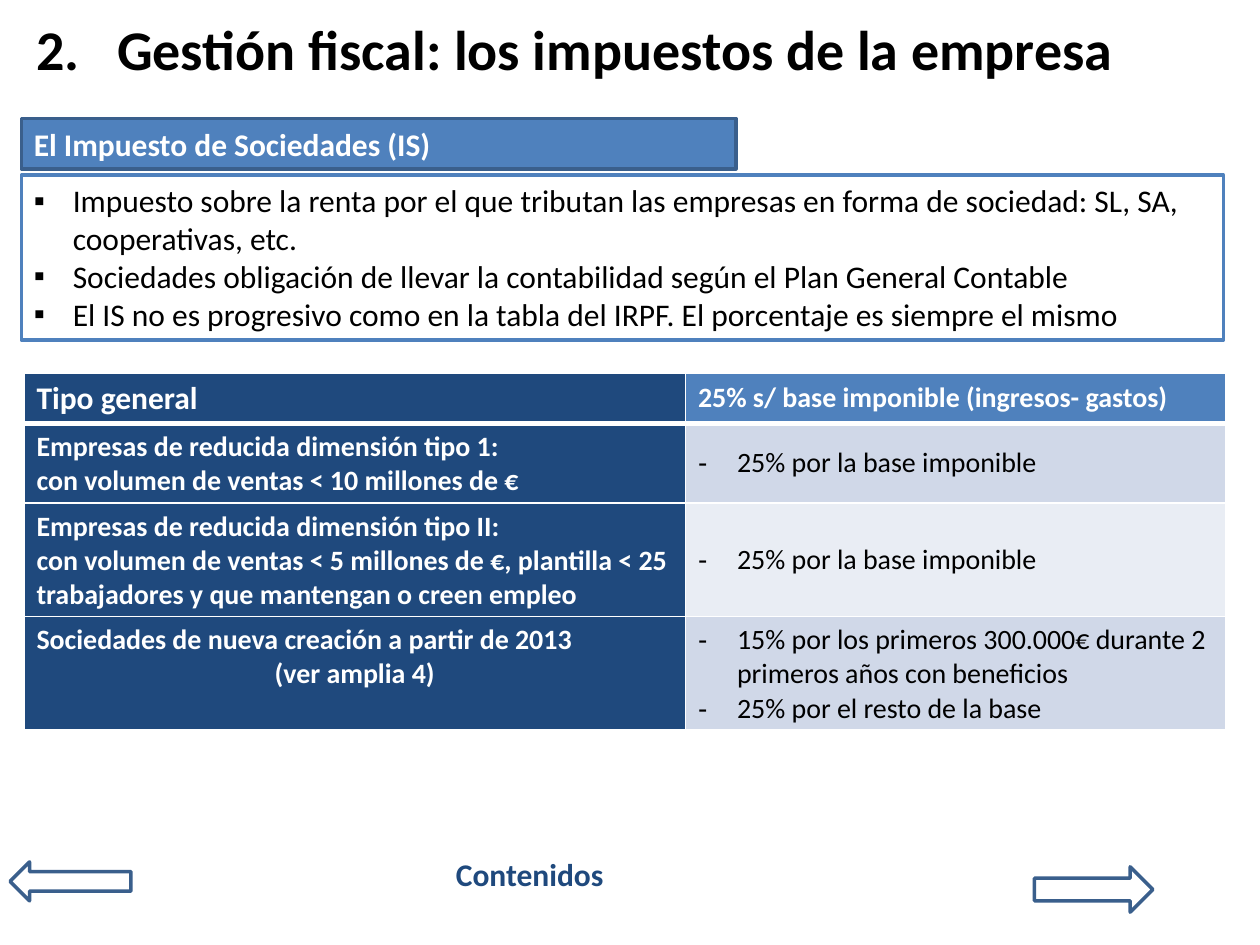
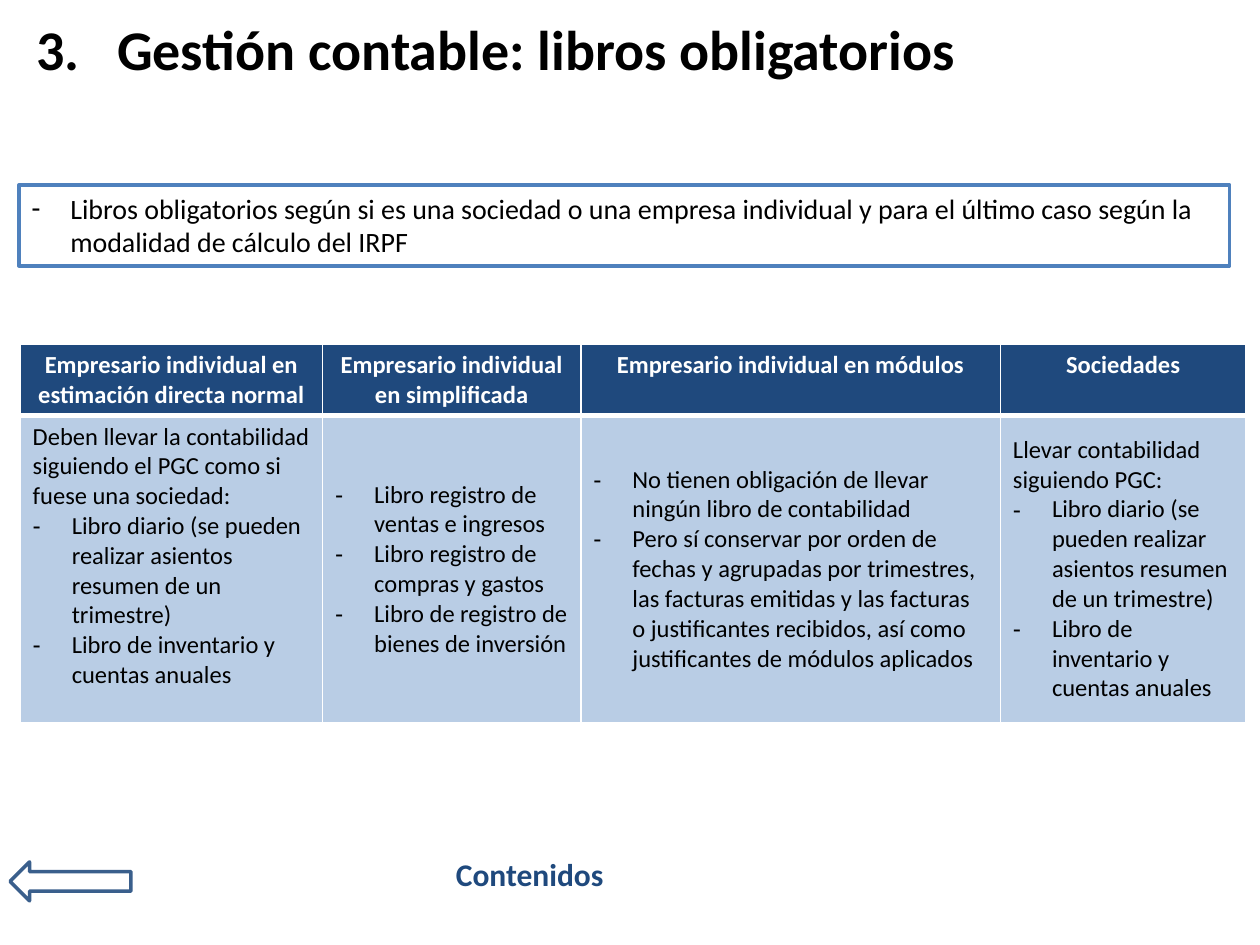
from dataclasses import dataclass

from lxml import etree
from pptx import Presentation
from pptx.dml.color import RGBColor
from pptx.enum import shapes, text
from pptx.oxml.ns import qn
from pptx.util import Inches, Pt

FONT = "Calibri"
BLACK, WHITE = "000000", "FFFFFF"
NAVY, BLUE, OUTLINE = "1F497D", "4F81BD", "3A5F8C"
BAND_DARK, BAND_LIGHT, PALE_BLUE = "D0D8E8", "E9EDF4", "B9CDE5"
SQUARE, DASH = "▪", "-"
BULLET_INDENT = 0.31
TITLE_INDENT = 0.64
CENTER = text.PP_ALIGN.CENTER
TOP, MIDDLE = text.MSO_ANCHOR.TOP, text.MSO_ANCHOR.MIDDLE
RECTANGLE = shapes.MSO_SHAPE.RECTANGLE
LEFT_ARROW, RIGHT_ARROW = shapes.MSO_SHAPE.LEFT_ARROW, shapes.MSO_SHAPE.RIGHT_ARROW


@dataclass(frozen=True)
class Box:
    left: float
    top: float
    width: float
    height: float

    def lengths(self):
        return [Inches(side) for side in (self.left, self.top, self.width, self.height)]


@dataclass(frozen=True)
class Style:
    size: int
    color: str = BLACK
    bold: bool = False


@dataclass(frozen=True)
class Line:
    content: str
    bullet: str = ""
    align: text.PP_ALIGN = text.PP_ALIGN.LEFT
    hanging: float = 0


@dataclass(frozen=True)
class Cell:
    lines: list
    style: Style
    fill: str
    anchor: text.MSO_ANCHOR = MIDDLE


@dataclass(frozen=True)
class NavigationArrow:
    kind: shapes.MSO_SHAPE
    box: Box


PREVIOUS = NavigationArrow(LEFT_ARROW, Box(0.08, 6.84, 0.96, 0.31))
NEXT = NavigationArrow(RIGHT_ARROW, Box(8.21, 6.88, 0.94, 0.36))


def rgb(value: str) -> RGBColor:
    return RGBColor.from_string(value)


def bullets(mark: str, *contents: str) -> list:
    return [Line(content, mark, hanging=BULLET_INDENT) for content in contents]


def write_lines(frame, lines: list, style: Style) -> None:
    frame.word_wrap = True
    for index, line in enumerate(lines):
        paragraph = frame.add_paragraph() if index else frame.paragraphs[0]
        paragraph.alignment = line.align
        properties = paragraph._p.get_or_add_pPr()
        if line.hanging:
            properties.set("marL", str(Inches(line.hanging)))
            properties.set("indent", str(-Inches(line.hanging)))
        if line.bullet:
            etree.SubElement(properties, qn("a:buFont"), typeface="Arial")
            etree.SubElement(properties, qn("a:buChar"), char=line.bullet)
        run = paragraph.add_run()
        run.text = line.content
        run.font.name = FONT
        run.font.size = Pt(style.size)
        run.font.bold = style.bold
        run.font.color.rgb = rgb(style.color)


def add_label(slide, box: Box, line: Line, style: Style, anchor=TOP) -> None:
    frame = slide.shapes.add_textbox(*box.lengths()).text_frame
    frame.vertical_anchor = anchor
    write_lines(frame, [line], style)


def add_outlined_shape(slide, kind, box: Box, outline: str):
    shape = slide.shapes.add_shape(kind, *box.lengths())
    shape.shadow.inherit = False
    shape.fill.background()
    shape.line.color.rgb = rgb(outline)
    shape.line.width = Pt(2)
    return shape


def add_panel(slide, box: Box, lines: list, style: Style, fill: str, outline: str) -> None:
    shape = add_outlined_shape(slide, RECTANGLE, box, outline)
    shape.fill.solid()
    shape.fill.fore_color.rgb = rgb(fill)
    shape.text_frame.vertical_anchor = TOP
    write_lines(shape.text_frame, lines, style)


def add_border(cell, side: str, width: float) -> None:
    line = etree.SubElement(cell._tc.get_or_add_tcPr(), qn(f"a:ln{side}"), w=str(Pt(width)))
    fill = etree.SubElement(line, qn("a:solidFill"))
    etree.SubElement(fill, qn("a:srgbClr"), val=WHITE)


def add_grid(slide, left: float, top: float, widths: list, heights: list, rows: list) -> None:
    box = Box(left, top, sum(widths), sum(heights))
    table = slide.shapes.add_table(len(rows), len(widths), *box.lengths()).table
    for column, width in zip(table.columns, widths):
        column.width = Inches(width)
    for row, height in zip(table.rows, heights):
        row.height = Inches(height)
    for row_index, row in enumerate(rows):
        for column_index, content in enumerate(row):
            cell = table.cell(row_index, column_index)
            add_border(cell, "L", 1)
            add_border(cell, "R", 1)
            add_border(cell, "T", 3 if row_index == 1 else 1)
            add_border(cell, "B", 3 if row_index == 0 else 1)
            cell.fill.solid()
            cell.fill.fore_color.rgb = rgb(content.fill)
            cell.vertical_anchor = content.anchor
            write_lines(cell.text_frame, content.lines, content.style)


def add_base_slide(presentation, number: int, title: str, arrows: list):
    slide = presentation.slides.add_slide(presentation.slide_layouts[6])
    for arrow in arrows:
        add_outlined_shape(slide, arrow.kind, arrow.box, OUTLINE)
    add_label(slide, Box(3.52, 6.74, 1.44, 0.4), Line("Contenidos"), Style(18, NAVY, True))
    add_label(slide, Box(0.19, 0, 9.81, 0.76),
              Line(f"{number}.\t{title}", hanging=TITLE_INDENT), Style(32, BLACK, True), MIDDLE)
    return slide


def build_corporate_tax(presentation) -> None:
    slide = add_base_slide(presentation, 2, "Gestión fiscal: los impuestos de la empresa",
                           [PREVIOUS, NEXT])
    company = Style(16, WHITE, True)
    rate = Style(16)
    rows = [
        [Cell([Line("Tipo general")], Style(18, WHITE, True), NAVY, TOP),
         Cell([Line("25% s/ base imponible (ingresos- gastos)")], company, BLUE)],
        [Cell([Line("Empresas de reducida dimensión tipo 1:"),
               Line("con volumen de ventas < 10 millones de €")], company, NAVY, TOP),
         Cell(bullets(DASH, "25% por la base imponible"), rate, BAND_DARK)],
        [Cell([Line("Empresas de reducida dimensión tipo II:"),
               Line("con volumen de ventas < 5 millones de €, plantilla < 25 "
                    "trabajadores y que mantengan o creen empleo")], company, NAVY, TOP),
         Cell(bullets(DASH, "25% por la base imponible"), rate, BAND_LIGHT)],
        [Cell([Line("Sociedades de nueva creación a partir de 2013"),
               Line("(ver amplia 4)", align=CENTER)], company, NAVY, TOP),
         Cell(bullets(DASH, "15% por los primeros 300.000€ durante 2 primeros años con beneficios",
                      "25% por el resto de la base"), rate, BAND_DARK)],
    ]
    add_grid(slide, 0.19, 2.96, [5.25, 4.29], [0.4, 0.63, 0.9, 0.9], rows)
    add_panel(slide, Box(0.17, 0.94, 5.67, 0.4), [Line("El Impuesto de Sociedades (IS)")],
              Style(18, WHITE, True), BLUE, OUTLINE)
    features = bullets(
        SQUARE,
        "Impuesto sobre la renta por el que tributan las empresas en forma de sociedad: "
        "SL, SA, cooperativas, etc.",
        "Sociedades obligación de llevar la contabilidad según el Plan General Contable",
        "El IS no es progresivo como en la tabla del IRPF. El porcentaje es siempre el mismo")
    add_panel(slide, Box(0.17, 1.39, 9.54, 1.31), features, Style(18), WHITE, BLUE)


def build_mandatory_books(presentation) -> None:
    slide = add_base_slide(presentation, 3, "Gestión contable: libros obligatorios", [PREVIOUS])
    headings = ["Empresario individual en estimación directa normal",
                "Empresario individual en simplificada",
                "Empresario individual en módulos",
                "Sociedades"]
    full_books = bullets(DASH, "Libro diario (se pueden realizar asientos resumen de un trimestre)",
                         "Libro de inventario y cuentas anuales")
    obligations = [
        [Line("Deben llevar la contabilidad siguiendo el PGC como si fuese una sociedad:"),
         *full_books],
        bullets(DASH, "Libro registro de ventas e ingresos",
                "Libro registro de compras y gastos",
                "Libro de registro de bienes de inversión"),
        bullets(DASH, "No tienen obligación de llevar ningún libro de contabilidad",
                "Pero sí conservar por orden de fechas y agrupadas por trimestres, las facturas "
                "emitidas y las facturas o justificantes recibidos, así como justificantes de "
                "módulos aplicados"),
        [Line("Llevar contabilidad siguiendo PGC:"), *full_books],
    ]
    rows = [
        [Cell([Line(heading, align=CENTER)], Style(14, WHITE, True), NAVY, TOP)
         for heading in headings],
        [Cell(lines, Style(14), PALE_BLUE, MIDDLE if index else TOP)
         for index, lines in enumerate(obligations)],
    ]
    add_grid(slide, 0.16, 2.73, [2.4, 2.05, 3.33, 1.95], [0.56, 2.44], rows)
    summary = bullets(DASH, "Libros obligatorios según si es una sociedad o una empresa individual "
                            "y para el último caso según la modalidad de cálculo del IRPF")
    add_panel(slide, Box(0.15, 1.47, 9.61, 0.64), summary, Style(16), WHITE, BLUE)


def main() -> None:
    presentation = Presentation()
    presentation.slide_width = Inches(10)
    presentation.slide_height = Inches(7.5)
    build_corporate_tax(presentation)
    build_mandatory_books(presentation)
    presentation.save("out.pptx")


if __name__ == "__main__":
    main()
